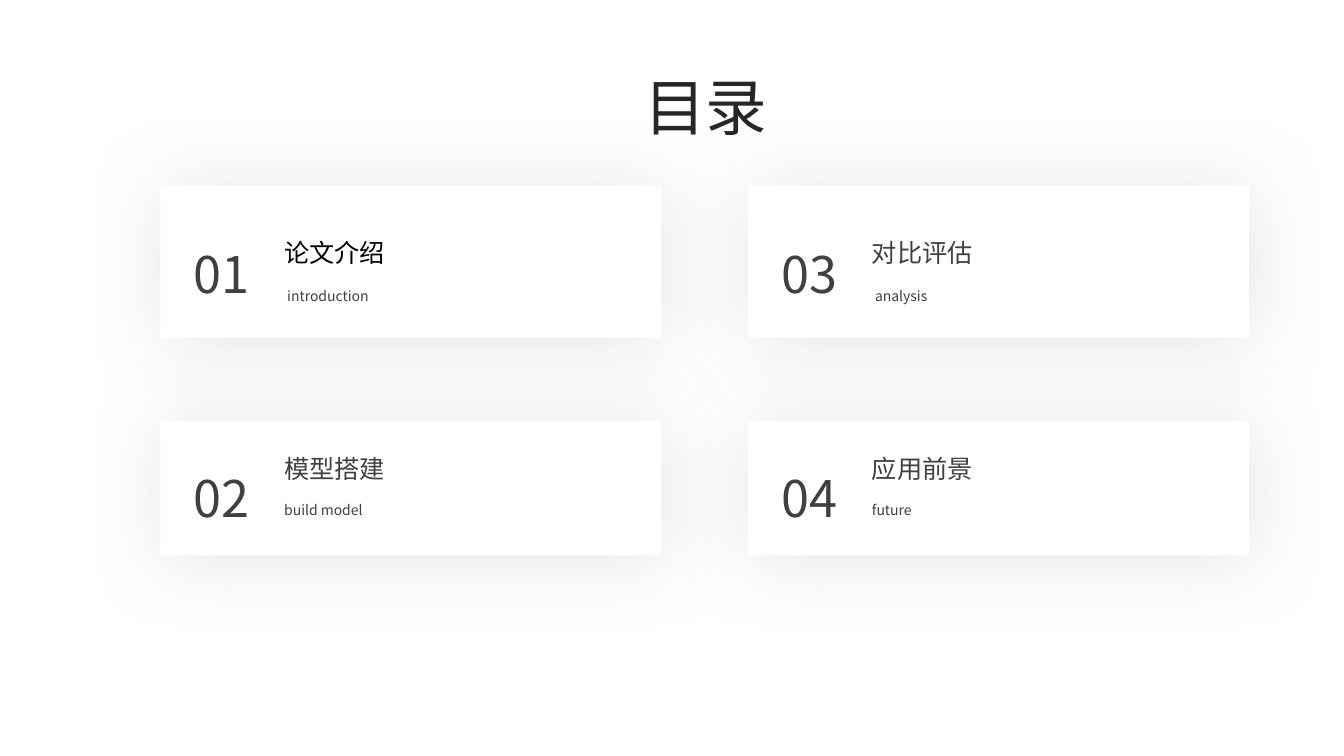
"""Build the contents slide: a heading and four numbered cards."""
from dataclasses import dataclass

from lxml import etree
from pptx import Presentation
from pptx.dml.color import RGBColor
from pptx.enum.shapes import MSO_SHAPE
from pptx.enum.text import MSO_AUTO_SIZE, PP_ALIGN
from pptx.oxml.ns import qn
from pptx.shapes.autoshape import Shape
from pptx.slide import Slide
from pptx.util import Emu, Pt

RECTANGLE = MSO_SHAPE.RECTANGLE
FIT_SHAPE = MSO_AUTO_SIZE.SHAPE_TO_FIT_TEXT
LEFT, CENTER, RIGHT = PP_ALIGN.LEFT, PP_ALIGN.CENTER, PP_ALIGN.RIGHT
EMU_PER_PX = 9144


@dataclass(frozen=True)
class Theme:
    font: str = "Noto Sans CJK SC"
    background: str = "FFFFFF"
    card: str = "FFFFFF"
    shadow: str = "BFBFBF"
    heading: str = "262626"
    body: str = "404040"
    current: str = "000000"
    heading_size: int = 44
    number_size: int = 36
    title_size: int = 18
    detail_size: int = 10


@dataclass(frozen=True)
class Box:
    left: int
    top: int
    width: int
    height: int


@dataclass(frozen=True)
class Row:
    top: int
    height: int
    number_top: int
    title_top: int
    detail_top: int


@dataclass(frozen=True)
class Entry:
    title: str
    detail: str
    color: str
    detail_shift: int = 0


THEME = Theme()
COLUMN_LEFTS = (159, 742)
ROWS = (Row(184, 151, 236, 231, 280), Row(418, 133, 458, 445, 493))
CARD_WIDTH = 497
TEXT_OFFSET = 113
ENTRIES = (
    Entry("论文介绍", "introduction", THEME.current, 3),
    Entry("模型搭建", "build model", THEME.body),
    Entry("对比评估", "analysis", THEME.body, 3),
    Entry("应用前景", "future", THEME.body),
)


def px(length: int) -> Emu:
    """Turn a length in px into EMU."""
    return Emu(length * EMU_PER_PX)


def add_text(slide: Slide, box: Box, text: str, size: int, color: str,
             alignment: PP_ALIGN = LEFT) -> None:
    """Add one line of text that grows its box."""
    shape = slide.shapes.add_textbox(
        px(box.left), px(box.top), px(box.width), px(box.height))
    frame = shape.text_frame
    frame.word_wrap = True
    frame.auto_size = FIT_SHAPE
    paragraph = frame.paragraphs[0]
    paragraph.alignment = alignment
    run = paragraph.add_run()
    run.text = text
    run.font.size = Pt(size)
    run.font.name = THEME.font
    run.font.color.rgb = RGBColor.from_string(color)
    properties = run.font._element
    east_asian = etree.SubElement(properties, qn("a:ea"))
    east_asian.set("typeface", THEME.font)


def add_soft_shadow(shape: Shape) -> None:
    """Give a shape a wide, pale outer shadow."""
    shape.shadow.inherit = False
    effects = shape._element.spPr.find(qn("a:effectLst"))
    shadow = etree.SubElement(
        effects, qn("a:outerShdw"), blurRad=str(Pt(57)), dist=str(Pt(3)),
        dir=str(45 * 60000), algn="ctr", rotWithShape="0")
    color = etree.SubElement(shadow, qn("a:srgbClr"), val=THEME.shadow)
    etree.SubElement(color, qn("a:alpha"), val="40000")


def add_card(slide: Slide, left: int, row: Row, number: int, entry: Entry) -> None:
    """Add a card with its number, title and detail."""
    card = slide.shapes.add_shape(
        RECTANGLE, px(left), px(row.top), px(CARD_WIDTH), px(row.height))
    card.fill.solid()
    card.fill.fore_color.rgb = RGBColor.from_string(THEME.card)
    card.line.fill.background()
    add_soft_shadow(card)
    text_left = left + TEXT_OFFSET
    add_text(slide, Box(left, row.number_top, 98, 71), f"{number:02d}",
             THEME.number_size, THEME.body, RIGHT)
    add_text(slide, Box(text_left, row.title_top, 359, 40), entry.title,
             THEME.title_size, entry.color)
    add_text(slide, Box(text_left + entry.detail_shift, row.detail_top, 359, 27),
             entry.detail, THEME.detail_size, THEME.body)


def main() -> None:
    """Build and save the slide."""
    presentation = Presentation()
    presentation.slide_width, presentation.slide_height = px(1333), px(750)
    slide = presentation.slides.add_slide(presentation.slide_layouts[6])
    background = slide.background.fill
    background.solid()
    background.fore_color.rgb = RGBColor.from_string(THEME.background)
    add_text(slide, Box(589, 63, 222, 84), "目录", THEME.heading_size,
             THEME.heading, CENTER)
    for index, entry in enumerate(ENTRIES):
        column, row = divmod(index, len(ROWS))
        add_card(slide, COLUMN_LEFTS[column], ROWS[row], index + 1, entry)
    presentation.save("out.pptx")


if __name__ == "__main__":
    main()
